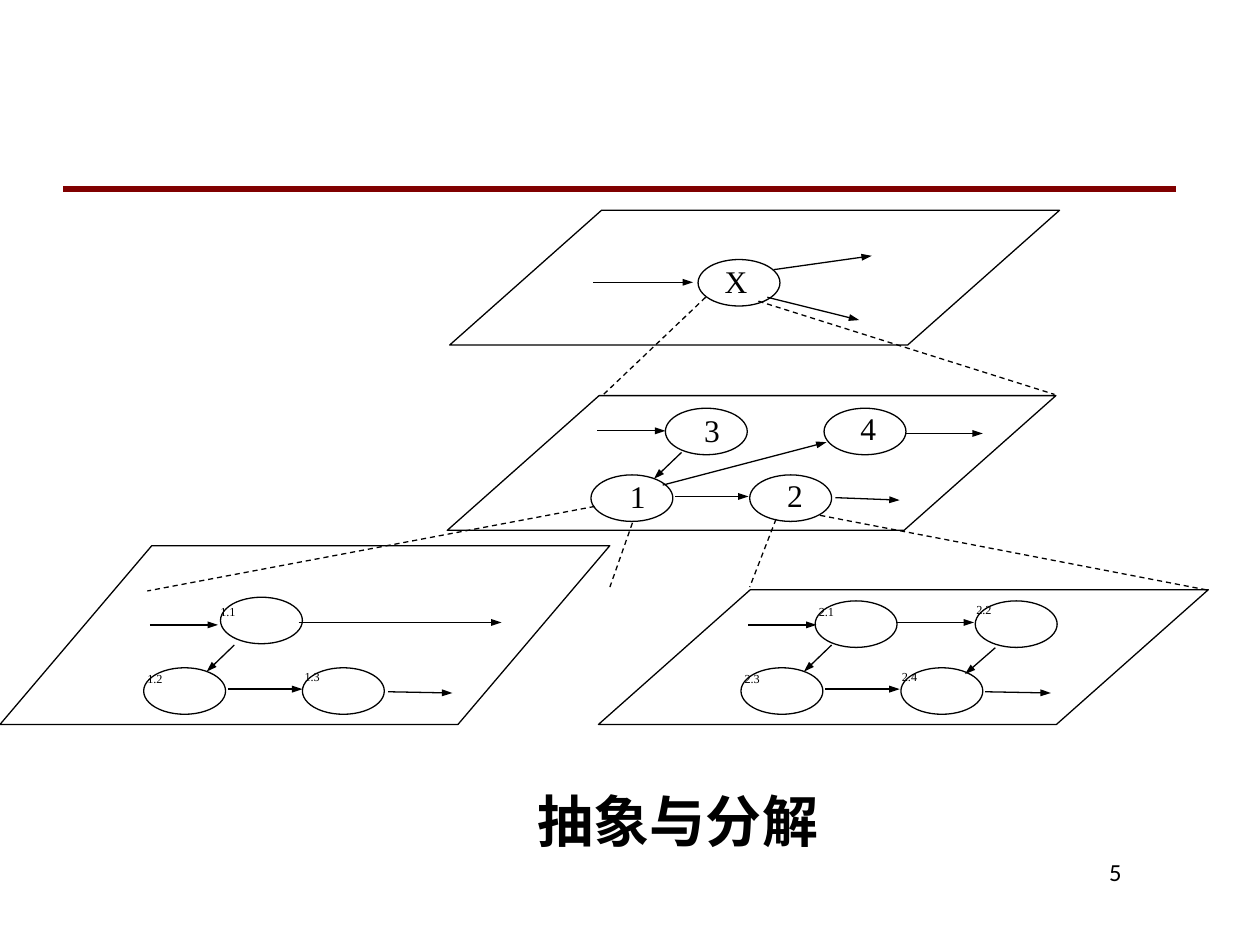
from lxml import etree
from pptx import Presentation
from pptx import util as u
from pptx.dml.color import RGBColor
from pptx.enum import dml, shapes, text
from pptx.oxml.ns import qn

BLACK = "000000"
SLANT = 86.8  # sideways shift of every plane's top edge

# left, top, width, height
PLANES = [
    (257, 120.2, 348.5, 77),
    (255.6, 226.1, 347.8, 77),
    (0, 311.8, 348.5, 102.2),
    (342, 337, 348.5, 77),
]

# label, left and top of the ellipse, label offset from it
NODES = [
    ("X", 398.9, 148.3, -10.1, -2.2),
    ("3", 380.2, 233.3, -5, -2.2),
    ("4", 470.9, 233.3, -6.5, -2.9),
    ("1", 337.7, 271.4, -5, -2.2),
    ("2", 428.4, 271.4, -5.8, -2.9),
    ("1.1", 126, 341.3, -7.2, 0.7),
    ("1.2", 82.1, 381.6, -5, -1.4),
    ("1.3", 172.8, 381.6, -5.8, -2.9),
    ("2.1", 465.8, 343.4, -5, -1.4),
    ("2.2", 557.3, 343.4, -6.5, -2.9),
    ("2.3", 423.4, 381.6, -5, -1.4),
    ("2.4", 514.8, 381.6, -6.5, -2.9),
]

# start x, start y, end x, end y
FLOWS = [
    # X
    (339.1, 161.3, 396, 161.3),
    (442.1, 154.1, 498.2, 146.2),
    (438.5, 169.9, 491, 182.9),
    # 1 to 4
    (341.3, 246.2, 380.2, 246.2),
    (517.7, 247.7, 561.6, 247.7),
    (389.5, 258.5, 373.7, 273.6),
    (378.7, 277.2, 472.3, 252.7),
    (385.9, 283.7, 427.7, 283.7),
    (477.4, 284.4, 514.1, 285.8),
    # 1.1 to 1.3
    (85.7, 357.1, 124.6, 357.1),
    (170.6, 355.7, 286.6, 355.7),
    (133.9, 368.6, 118.1, 383.8),
    (130.3, 393.8, 172.8, 393.8),
    (221.8, 395.3, 258.5, 396),
    # 2.1 to 2.4
    (427.7, 357.1, 466.6, 357.1),
    (512.6, 355.7, 556.6, 355.7),
    (475.2, 368.6, 459.4, 383.8),
    (568.8, 370.1, 551.5, 385.2),
    (471.6, 393.8, 514.1, 393.8),
    (563, 395.3, 600.5, 396),
]

ZOOMS = [
    (403.2, 169.9, 344.9, 225.4),
    (433.4, 172.1, 602.6, 225.4),
    (339.8, 289.4, 84.2, 337.7),
    (361.4, 298.8, 348.5, 335.5),
    (443.5, 296.6, 428.4, 335.5),
    (468.7, 294.5, 689, 337),
]


def color(code):
    return RGBColor.from_string(code)


def pts(vals):
    return [u.Pt(v) for v in vals]


def outline(slide, kind, box):
    shape = slide.shapes.add_shape(kind, *pts(box))
    shape.shadow.inherit = False
    shape.fill.background()
    shape.line.color.rgb = color(BLACK)
    shape.line.width = u.Pt(0.75)
    return shape


def plane(slide, box):
    shape = outline(slide, shapes.MSO_SHAPE.PARALLELOGRAM, box)
    shape.adjustments[0] = SLANT / box[3]


def style(par, size, font, align, bold=False):
    par.alignment = align
    par.font.size = u.Pt(size)
    par.font.name = font
    par.font.bold = bold
    par.font.color.rgb = color(BLACK)


def label(slide, words, box, size, font, align):
    frame = slide.shapes.add_textbox(*pts(box)).text_frame
    frame.word_wrap = True
    frame.text = words
    style(frame.paragraphs[0], size, font, align)


def node(slide, name, x, y, dx, dy):
    if "." in name:
        size, align = 7, text.PP_ALIGN.JUSTIFY
    else:
        size, align = 18, text.PP_ALIGN.CENTER
    label(slide, name, (x + dx, y + dy, 63.4, 31), size,
          "Times New Roman", align)
    outline(slide, shapes.MSO_SHAPE.OVAL, (x, y, 46.8, 26.6))


def line(slide, ends, code=BLACK, width=0.75):
    conn = slide.shapes.add_connector(shapes.MSO_CONNECTOR.STRAIGHT,
                                      *pts(ends))
    conn.line.color.rgb = color(code)
    conn.line.width = u.Pt(width)
    etree.SubElement(conn._element.spPr, qn("a:effectLst"))
    return conn


def arrow(slide, ends):
    ln = line(slide, ends).line._get_or_add_ln()
    etree.SubElement(ln, qn("a:tailEnd"), type="triangle", w="sm", len="med")


def title(slide, words, box):
    shape = slide.shapes.title
    shape.left, shape.top, shape.width, shape.height = pts(box)
    frame = shape.text_frame
    frame.text = words
    frame.word_wrap = True
    frame.auto_size = text.MSO_AUTO_SIZE.NONE
    frame.vertical_anchor = text.MSO_ANCHOR.TOP
    style(frame.paragraphs[0], 32, "Comic Neue", text.PP_ALIGN.LEFT, True)


def main():
    deck = Presentation()
    deck.slide_width, deck.slide_height = pts((720, 540))
    slide = deck.slides.add_slide(deck.slide_layouts[5])
    line(slide, (36, 108, 671.8, 108), "800000", 3)
    for box in PLANES:
        plane(slide, box)
    for item in NODES:
        node(slide, *item)
    for ends in FLOWS:
        arrow(slide, ends)
    for ends in ZOOMS:
        line(slide, ends).line.dash_style = dml.MSO_LINE.DASH
    title(slide, "抽象与分解", (300.2, 445.7, 180, 46.1))
    label(slide, "5", (545.8, 486, 102.2, 36), 14, "Calibri",
          text.PP_ALIGN.RIGHT)
    deck.save("out.pptx")


if __name__ == "__main__":
    main()
